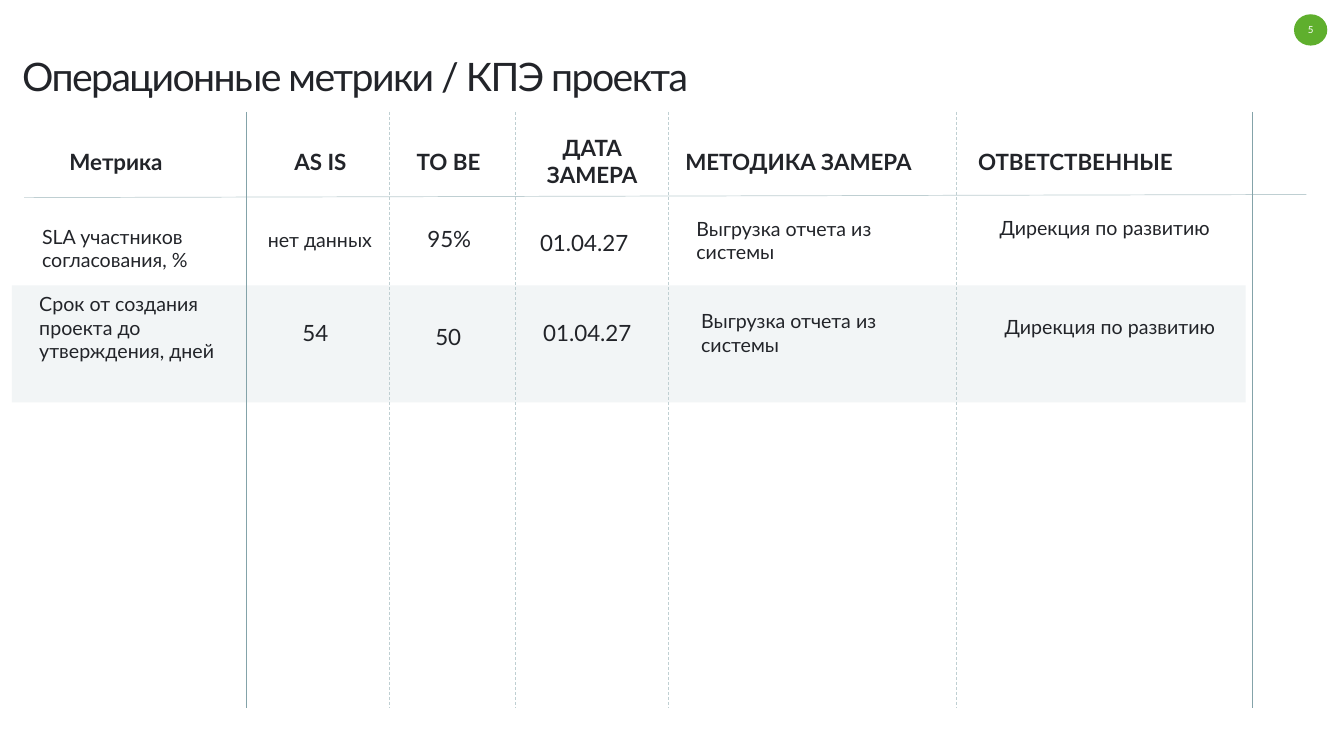
"""Build the slide with the operational metrics of the project."""
from lxml.etree import SubElement
from pptx import Presentation
from pptx.dml.color import RGBColor
from pptx.enum.dml import MSO_LINE
from pptx.enum.shapes import MSO_CONNECTOR, MSO_SHAPE
from pptx.enum.text import MSO_ANCHOR, MSO_AUTO_SIZE, PP_ALIGN
from pptx.oxml.ns import qn
from pptx.util import Cm, Pt

FONT = "Lato"
INK = RGBColor(0x22, 0x24, 0x29)
WHITE = RGBColor(0xFF, 0xFF, 0xFF)
GREEN = RGBColor(0x5F, 0xAF, 0x2D)
BAND = RGBColor(0xF2, 0xF5, 0xF6)
PALE_LINE = RGBColor(0xBF, 0xCF, 0xD2)
DARK_LINE = RGBColor(0x84, 0xA3, 0xA9)


def write(shape, text, size, color=INK, bold=False, align=PP_ALIGN.LEFT, margin=None):
    frame = shape.text_frame
    frame.word_wrap = True
    frame.text = text
    if margin is not None:
        frame.margin_left = frame.margin_right = margin
        frame.margin_top = frame.margin_bottom = margin
    paragraph = frame.paragraphs[0]
    paragraph.alignment = align
    paragraph.font.name = FONT
    paragraph.font.size = Pt(size)
    paragraph.font.bold = bold
    paragraph.font.color.rgb = color
    return paragraph


def add_line(x1, y1, x2, y2, color, dashed=False):
    line = slide.shapes.add_connector(MSO_CONNECTOR.STRAIGHT, Cm(x1), Cm(y1), Cm(x2), Cm(y2))
    line.line.color.rgb = color
    line.line.width = Pt(0.5)
    if dashed:
        line.line.dash_style = MSO_LINE.DASH
    SubElement(line._element.spPr, qn("a:effectLst"))


presentation = Presentation()
presentation.slide_width = Cm(33.87)
presentation.slide_height = Cm(19.05)
slide = presentation.slides.add_slide(presentation.slide_layouts[5])

title = slide.shapes.title
title.left, title.top, title.width, title.height = Cm(0.56), Cm(1.45), Cm(26.47), Cm(1.32)
title.text_frame.vertical_anchor = MSO_ANCHOR.TOP
title.text_frame.auto_size = MSO_AUTO_SIZE.NONE
heading = write(title, "Операционные метрики / КПЭ проекта", 28, margin=0)
heading.line_spacing = Pt(30)
heading.space_before = Pt(6)
heading.runs[0].font._element.set("spc", "-110")

badge = slide.shapes.add_shape(MSO_SHAPE.OVAL, Cm(32.61), Cm(0.36), Cm(0.84), Cm(0.79))
band = slide.shapes.add_shape(MSO_SHAPE.RECTANGLE, Cm(0.3), Cm(7.19), Cm(31.09), Cm(2.95))
for shape, color in ((badge, GREEN), (band, BAND)):
    shape.fill.solid()
    shape.fill.fore_color.rgb = color
    shape.line.fill.background()
    shape.shadow.inherit = False
badge.text_frame.vertical_anchor = MSO_ANCHOR.MIDDLE
write(badge, "5", 7, WHITE, align=PP_ALIGN.CENTER, margin=0)

add_line(0.61, 4.98, 32.92, 4.9, PALE_LINE)
for x in (6.2, 31.57):
    add_line(x, 2.82, x, 17.83, DARK_LINE)
for x in (9.8, 12.98, 16.84, 24.1):
    add_line(x, 2.82, x, 17.83, PALE_LINE, dashed=True)

headers = [
    ("Метрика", 1.17, 3.61, 3.51, 0.94),
    ("AS IS", 6.32, 3.61, 3.51, 0.94),
    ("TO BE", 9.55, 3.61, 3.51, 0.94),
    ("ДАТА ЗАМЕРА", 13.06, 3.25, 3.73, 1.63),
    ("МЕТОДИКА ЗАМЕРА", 16.33, 3.61, 7.59, 0.94),
    ("ОТВЕТСТВЕННЫЕ", 23.7, 3.61, 6.81, 0.94),
]
for text, left, top, width, height in headers:
    box = slide.shapes.add_textbox(Cm(left), Cm(top), Cm(width), Cm(height))
    write(box, text, 16, bold=True, align=PP_ALIGN.CENTER)

cells = [
    ("SLA участников согласования, %", 14, 0.81, 5.54, 5.28, 1.45),
    ("нет данных", 14, 6.5, 5.61, 3.38, 0.86),
    ("95%", 16, 10.52, 5.54, 2.01, 0.94),
    ("01.04.27", 16, 13.36, 5.66, 3.35, 0.94),
    ("Выгрузка отчета из системы", 14, 17.3, 5.33, 6.27, 1.45),
    ("Дирекция по развитию", 14, 24.94, 5.31, 6.1, 1.45),
    ("Срок от создания проекта до утверждения, дней", 14, 0.74, 7.24, 5.46, 2.06),
    ("54", 16, 7.37, 7.92, 2.11, 0.94),
    ("50", 16, 10.72, 8.03, 2.11, 0.94),
    ("01.04.27", 16, 13.44, 7.92, 3.35, 0.94),
    ("Выгрузка отчета из системы", 14, 17.42, 7.67, 6.27, 1.45),
    ("Дирекция по развитию", 14, 25.07, 7.8, 6.1, 1.45),
]
for text, size, left, top, width, height in cells:
    box = slide.shapes.add_textbox(Cm(left), Cm(top), Cm(width), Cm(height))
    write(box, text, size)

presentation.save("out.pptx")
